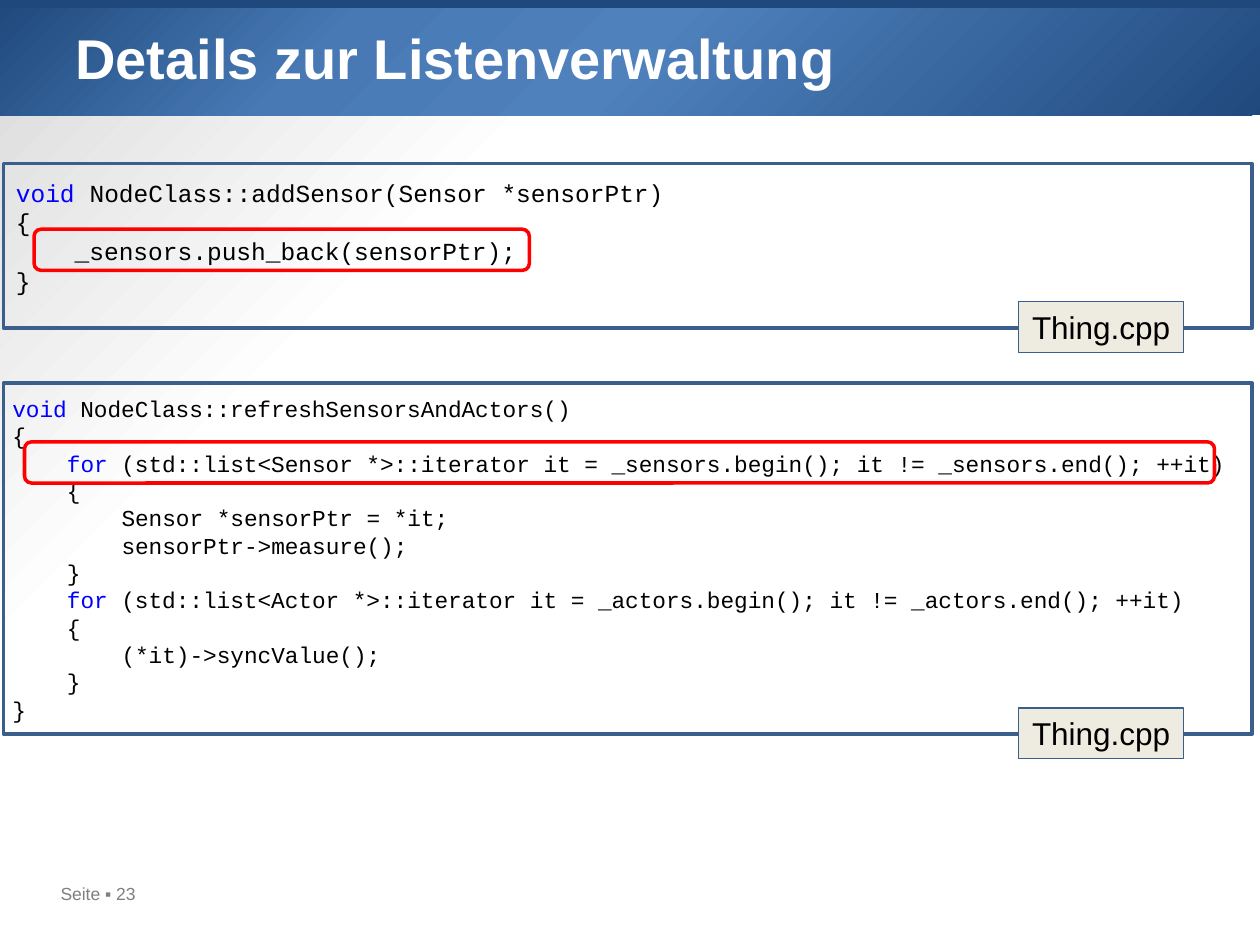
import dataclasses

import lxml.etree
import pptx
import pptx.dml.color
import pptx.enum.shapes
import pptx.enum.text
import pptx.oxml.ns
import pptx.util

Pt = pptx.util.Pt
SHAPES = pptx.enum.shapes.MSO_SHAPE


@dataclasses.dataclass(frozen=True)
class Theme:
    sans: str = "Arial"
    mono: str = "Courier New"
    navy: str = "1F497D"
    frame: str = "3A5F8C"
    cream: str = "EEECE1"
    red: str = "FF0000"
    keyword: str = "0000FF"
    black: str = "000000"
    white: str = "FFFFFF"
    grey: str = "808080"
    header_stops: tuple = ((0, "1F497D"), (27, "4879B4"), (50, "4F81BD"), (100, "1F497D"))
    page_stops: tuple = ((70, "FFFFFF"), (100, "D9D9D9"))
    title_size: int = 32
    label_size: int = 18
    footer_size: int = 10


THEME = Theme()

ADD_SENSOR = (
    (0, "void", " NodeClass::addSensor(Sensor *sensorPtr)"),
    (0, "", "{"),
    (1, "", "_sensors.push_back(sensorPtr);"),
    (0, "", "}"),
)

REFRESH = (
    (0, "void", " NodeClass::refreshSensorsAndActors()"),
    (0, "", "{"),
    (1, "for", " (std::list<Sensor *>::iterator it = _sensors.begin(); it != _sensors.end(); ++it)"),
    (1, "", "{"),
    (2, "", "Sensor *sensorPtr = *it;"),
    (2, "", "sensorPtr->measure();"),
    (1, "", "}"),
    (1, "for", " (std::list<Actor *>::iterator it = _actors.begin(); it != _actors.end(); ++it)"),
    (1, "", "{"),
    (2, "", "(*it)->syncValue();"),
    (1, "", "}"),
    (0, "", "}"),
)


def rgb(color):
    return pptx.dml.color.RGBColor.from_string(color)


def set_font(font, name, size, color, bold=False):
    font.name, font.size, font.bold = name, Pt(size), bold
    font.color.rgb = rgb(color)


def make_radial(parent, stops, focus):
    """Swap the solid fill in parent for a circular gradient."""
    qn = pptx.oxml.ns.qn
    gradient = lxml.etree.Element(qn("a:gradFill"), rotWithShape="1")
    stop_list = lxml.etree.SubElement(gradient, qn("a:gsLst"))
    for position, color in stops:
        stop = lxml.etree.SubElement(stop_list, qn("a:gs"), pos=str(position * 1000))
        lxml.etree.SubElement(stop, qn("a:srgbClr"), val=color)
    circle = lxml.etree.SubElement(gradient, qn("a:path"), path="circle")
    edges = {side: str(value * 1000) for side, value in zip("ltrb", focus)}
    lxml.etree.SubElement(circle, qn("a:fillToRect"), edges)
    parent.replace(parent.find(qn("a:solidFill")), gradient)


def add_shape(page, kind, bounds, fill=None, line=None, weight=2):
    shape = page.shapes.add_shape(kind, *map(Pt, bounds))
    shape.shadow.inherit = False
    if fill:
        shape.fill.solid()
        shape.fill.fore_color.rgb = rgb(fill)
    else:
        shape.fill.background()
    if line:
        shape.line.color.rgb = rgb(line)
        shape.line.width = Pt(weight)
    else:
        shape.line.fill.background()
    return shape


def add_text(page, bounds, text, size, color, bold=False):
    box = page.shapes.add_textbox(*map(Pt, bounds))
    box.text_frame.word_wrap = True
    para = box.text_frame.paragraphs[0]
    para.text = text
    set_font(para.font, THEME.sans, size, color, bold)


def add_code(page, bounds, lines, size):
    """Write (depth, keyword, rest) lines, each depth four characters wide."""
    box = page.shapes.add_textbox(*map(Pt, bounds))
    frame = box.text_frame
    frame.word_wrap = True
    for number, (depth, keyword, rest) in enumerate(lines):
        para = frame.add_paragraph() if number else frame.paragraphs[0]
        indent = Pt(depth * 4 * 0.6 * size)
        para._p.get_or_add_pPr().set("marL", str(int(indent)))
        set_font(para.font, THEME.mono, size, THEME.black)
        if keyword:
            span = para.add_run()
            span.text = keyword
            span.font.color.rgb = rgb(THEME.keyword)
        para.add_run().text = rest


def add_file_frame(page, top, height, file_name):
    """Outline a listing and set its file name on the lower edge."""
    add_shape(page, SHAPES.RECTANGLE, (2, top, 713.5, height), line=THEME.frame)
    label = add_shape(page, SHAPES.RECTANGLE, (582, top + height - 15, 94.5, 29),
                      THEME.cream, THEME.frame, 0.75)
    label.text_frame.word_wrap = False
    para = label.text_frame.paragraphs[0]
    para.text = file_name
    para.alignment = pptx.enum.text.PP_ALIGN.CENTER
    set_font(para.font, THEME.sans, THEME.label_size, THEME.black)


def add_backdrop(page):
    page.background.fill.solid()
    background = page._element.find(".//" + pptx.oxml.ns.qn("p:bgPr"))
    make_radial(background, THEME.page_stops, (100, 100, 0, 0))
    header = add_shape(page, SHAPES.RECTANGLE, (-1, -1, 729, 67), THEME.navy)
    make_radial(header._element.spPr, THEME.header_stops, (0, 0, 100, 100))
    add_shape(page, SHAPES.RECTANGLE, (-1, -2, 729, 6.5), THEME.navy)


def main():
    deck = pptx.Presentation()
    deck.slide_width, deck.slide_height = Pt(720), Pt(540)
    page = deck.slides.add_slide(deck.slide_layouts[6])

    add_backdrop(page)
    add_text(page, (27.5, 501, 106, 19.5), "Seite ▪ 23", THEME.footer_size, THEME.grey)
    add_code(page, (0, 222, 720, 227.5), REFRESH, 13)
    add_code(page, (2, 98, 653, 75), ADD_SENSOR, 14)
    add_text(page, (36, 10, 648, 90), "Details zur Listenverwaltung",
             THEME.title_size, THEME.white, bold=True)

    for bounds in ((19.5, 131, 283, 23.5), (14, 252.5, 680, 23.5)):
        add_shape(page, SHAPES.ROUNDED_RECTANGLE, bounds, line=THEME.red)
    for top, height in ((93.5, 94), (219, 200.5)):
        add_file_frame(page, top, height, "Thing.cpp")

    deck.save("out.pptx")


if __name__ == "__main__":
    main()
